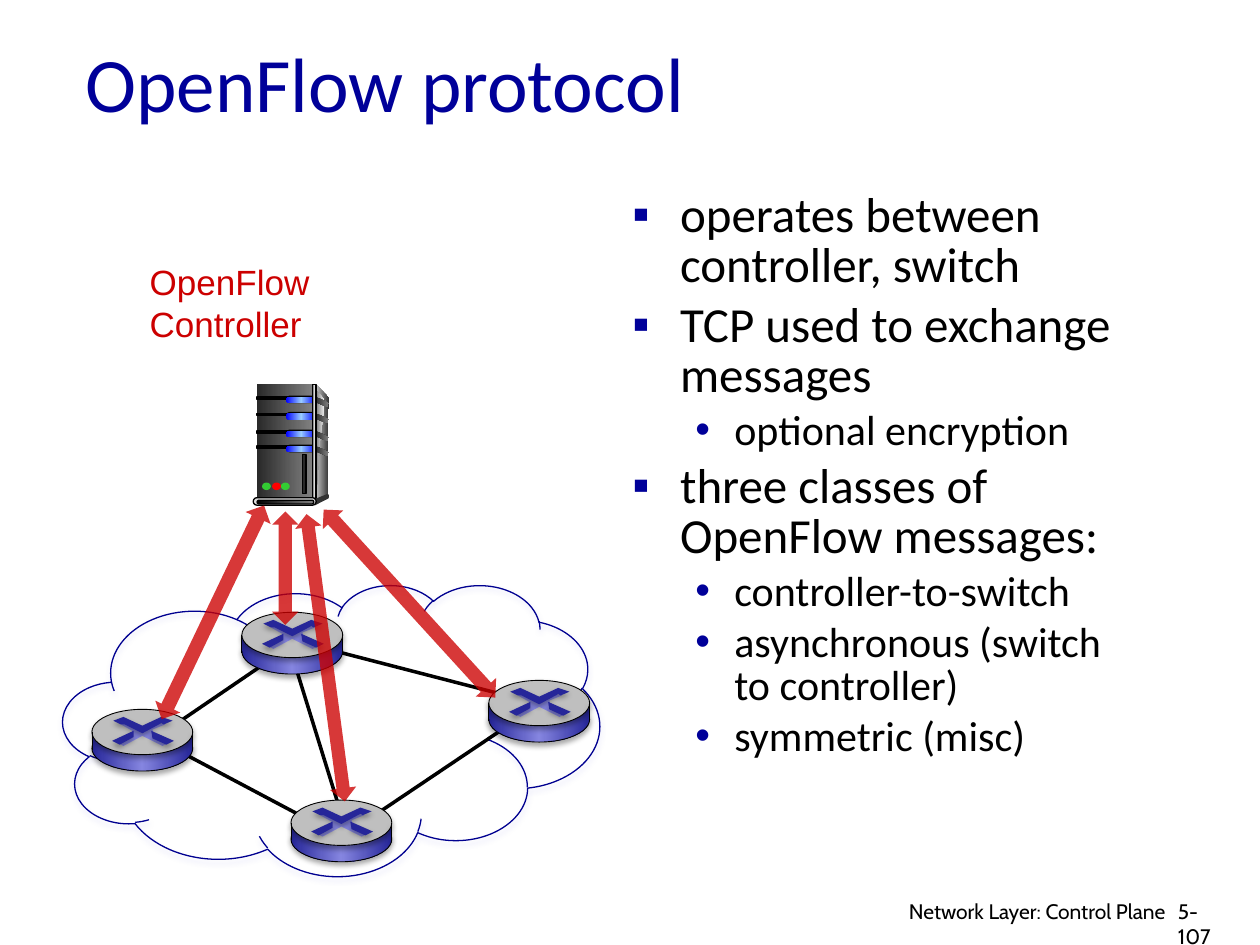
from lxml import etree
from pptx import Presentation
from pptx.dml.color import RGBColor
from pptx.enum import shapes, text
from pptx.oxml import ns
from pptx.util import Inches, Pt

NAVY = RGBColor(0x00, 0x00, 0x99)
CLOUD_LINE = RGBColor(0x00, 0x00, 0x90)
CLOUD_SHADE = RGBColor(0xA5, 0xA5, 0xE9)
RED = RGBColor(0xCC, 0x00, 0x00)
BLACK = RGBColor(0x00, 0x00, 0x00)
CHARCOAL = RGBColor(0x29, 0x29, 0x29)
DARK = RGBColor(0x33, 0x33, 0x33)
GREY = RGBColor(0x80, 0x80, 0x80)
SILVER = RGBColor(0xBF, 0xBF, 0xBF)
PALE = RGBColor(0xDD, 0xDD, 0xDD)
WHITISH = RGBColor(0xF8, 0xF8, 0xF8)
BLUE = RGBColor(0x00, 0x00, 0xFF)
SKY = RGBColor(0x99, 0xCC, 0xFF)
INDIGO = RGBColor(0x26, 0x26, 0x99)
LILAC = RGBColor(0x85, 0x85, 0xE0)
LED_GREEN = RGBColor(0x33, 0xCC, 0x33)
LED_RED = RGBColor(0xFF, 0x00, 0x00)

KIND = shapes.MSO_SHAPE
RECT, OVAL, PILL = KIND.RECTANGLE, KIND.OVAL, KIND.ROUNDED_RECTANGLE

prs = Presentation()
prs.slide_width, prs.slide_height = Inches(10), Inches(7.5)
slide = prs.slides.add_slide(prs.slide_layouts[6])


def draw(kind, points, fill=None, line=None, width=0.75, shadow=None):
    if kind == "line":
        shape = slide.shapes.add_connector(
            shapes.MSO_CONNECTOR.STRAIGHT, *[Inches(v) for v in points])
    elif kind == "outline":
        corners = [(Inches(x), Inches(y)) for x, y in points]
        builder = slide.shapes.build_freeform(*corners[0], scale=1.0)
        builder.add_line_segments(corners[1:], close=True)
        shape = builder.convert_to_shape()
    else:
        shape = slide.shapes.add_shape(kind, *[Inches(v) for v in points])
        if kind == PILL:
            shape.adjustments[0] = 0.5
    props = shape._element.spPr
    if isinstance(fill, list):
        shape.fill.gradient()
        shape.fill.gradient_angle = 0
        stops = props.find(".//" + ns.qn("a:gsLst"))
        for stop in list(stops):
            stops.remove(stop)
        for i, color in enumerate(fill):
            stop = etree.SubElement(stops, ns.qn("a:gs"), pos=str(100000 * i // (len(fill) - 1)))
            etree.SubElement(stop, ns.qn("a:srgbClr"), val=str(color))
    elif fill is not None:
        shape.fill.solid()
        shape.fill.fore_color.rgb = fill
    elif kind != "line":
        shape.fill.background()
    if line is None:
        shape.line.fill.background()
    else:
        shape.line.color.rgb = line
        shape.line.width = Pt(width)
    effects = etree.SubElement(props, ns.qn("a:effectLst"))
    if shadow is not None:
        cast = etree.SubElement(effects, ns.qn("a:outerShdw"), blurRad=str(Pt(3.1)),
                                dist=str(Pt(1.8)), dir="5400000", rotWithShape="0")
        tint = etree.SubElement(cast, ns.qn("a:srgbClr"), val=str(shadow))
        etree.SubElement(tint, ns.qn("a:alpha"), val="35000")
    return shape


def write(box, lines, size, font, color):
    frame = slide.shapes.add_textbox(*[Inches(v) for v in box]).text_frame
    frame.word_wrap = True
    for i, (level, words) in enumerate(lines):
        par = frame.paragraphs[0] if i == 0 else frame.add_paragraph()
        par.text = words
        points = size
        if level is not None:
            points = size - 4 * level
            props = par._p.get_or_add_pPr()
            props.set("marL", str(Inches([0.38, 0.81][level])))
            props.set("indent", str(Inches([-0.38, -0.31][level])))
            tint = etree.SubElement(props, ns.qn("a:buClr"))
            etree.SubElement(tint, ns.qn("a:srgbClr"), val=str(NAVY))
            etree.SubElement(props, ns.qn("a:buFont"), typeface="Arial")
            etree.SubElement(props, ns.qn("a:buChar"), char="▪•"[level])
            par.line_spacing = 0.85
            if i:
                par.space_before = Pt(0.2 * points)
        par.font.size = Pt(points)
        par.font.name = font
        par.font.color.rgb = color
    return frame


title = write((0.58, 0.02, 8.5, 1.25), [(None, "OpenFlow protocol")], 44, "Calibri", NAVY)
title.vertical_anchor = text.MSO_ANCHOR.MIDDLE

write((4.92, 1.48, 4.17, 5.08), [
    (0, "operates between controller, switch"),
    (0, "TCP used to exchange messages"),
    (1, "optional encryption"),
    (0, "three classes of OpenFlow messages:"),
    (1, "controller-to-switch"),
    (1, "asynchronous (switch to controller)"),
    (1, "symmetric (misc)"),
], 28, "Calibri", BLACK)

draw(KIND.CLOUD, (0.5, 4.64, 4.26, 2.31), line=CLOUD_LINE, shadow=CLOUD_SHADE)
for link in [(1.23, 5.86, 2.55, 4.96), (1.23, 5.86, 2.55, 6.56), (2.33, 5.24, 2.68, 6.37),
             (2.63, 5.16, 4.06, 5.53), (2.84, 6.56, 4.06, 5.74)]:
    draw("line", link, line=BLACK, width=2)

draw("outline", [(2.51, 3.05), (2.61, 3.16), (2.6, 3.93), (2.49, 3.97)], [PALE, DARK])
draw(RECT, (2.04, 3.05, 0.44, 0.92), [CHARCOAL, GREY])
draw("outline", [(2.51, 3.1), (2.54, 3.13), (2.58, 3.18), (2.54, 3.5), (2.51, 3.94)],
     [GREY, WHITISH])
for bay in (3.15, 3.28, 3.42, 3.54):
    draw(RECT, (2.04, bay, 0.25, 0.02), BLACK, BLACK)
    draw(PILL, (2.27, bay - 0.01, 0.24, 0.06), BLACK)
    draw(PILL, (2.27, bay, 0.24, 0.05), [BLUE, SKY, BLUE])
    draw("outline", [(2.5, bay), (2.55, bay + 0.02), (2.61, bay + 0.05), (2.6, bay + 0.08),
                     (2.5, bay + 0.04)], [CHARCOAL, GREY])
draw(RECT, (2.48, 3.05, 0.03, 0.92), [DARK, PALE, DARK], BLACK)
draw(OVAL, (2.59, 3.92, 0.02, 0.04), DARK)
draw("outline", [(2.5, 3.96), (2.5, 4.01), (2.6, 3.96), (2.6, 3.92)], DARK)
draw(PILL, (2.01, 3.95, 0.5, 0.06), PALE, BLACK)
draw(PILL, (2.04, 3.97, 0.45, 0.03), [BLACK, GREY], BLACK)
for left, led in [(2.08, LED_GREEN), (2.16, LED_RED), (2.23, LED_GREEN)]:
    draw(OVAL, (left, 3.83, 0.07, 0.06), led)
draw(RECT, (2.4, 3.61, 0.03, 0.31), CHARCOAL, BLACK)

write((1.09, 2.02, 2.4, 0.75), [(None, "OpenFlow Controller")], 20, "Arial", RED)

cross = [(0.4, 0.21), (0.25, 0.29), (0.21, 0.27), (0.33, 0.22), (0.32, 0.17), (0.23, 0.12),
         (0.26, 0.11), (0.4, 0.17), (0.54, 0.11), (0.58, 0.12), (0.48, 0.16), (0.5, 0.23),
         (0.6, 0.27), (0.56, 0.29)]
chevron = [(0.17, 0.09), (0.25, 0.06), (0.4, 0.13), (0.55, 0.06), (0.64, 0.09), (0.57, 0.12),
           (0.55, 0.11), (0.4, 0.19), (0.26, 0.12), (0.23, 0.12)]
right_leg = [(0.47, 0.17), (0.65, 0.25), (0.59, 0.28), (0.48, 0.23)]
left_leg = [(0.33, 0.17), (0.33, 0.22), (0.22, 0.28), (0.16, 0.25)]
for x, y in [(2.31, 6.35), (3.88, 5.4), (0.73, 5.63), (1.92, 4.86)]:
    draw(OVAL, (x, y + 0.13, 0.8, 0.36), [INDIGO, LILAC, INDIGO], BLACK, 0.5, BLACK)
    draw(RECT, (x, y + 0.18, 0.8, 0.13), [INDIGO, LILAC, INDIGO])
    draw(OVAL, (x, y, 0.8, 0.36), SILVER, BLACK, 0.5, BLACK)
    for part, color, shade in [(cross, LILAC, None), (chevron, INDIGO, BLACK),
                               (right_leg, INDIGO, BLACK), (left_leg, INDIGO, BLACK)]:
        draw("outline", [(x + dx, y + dy) for dx, dy in part], color, shadow=shade)
    for side in (x, x + 0.8):
        draw("line", (side, y + 0.32, side, y + 0.18), line=BLACK, width=0.5, shadow=BLACK)

for box, angle in [((2.48, 4.07, 0.21, 2.3), 352.4), ((2.16, 4.06, 0.21, 0.9), 0),
                   ((3.14, 3.78, 0.22, 2.02), 317.6), ((1.58, 3.92, 0.22, 1.88), 25.6)]:
    channel = draw(KIND.UP_DOWN_ARROW, box, RED)
    channel.rotation = angle
    tint = channel._element.spPr.find(ns.qn("a:solidFill"))[0]
    etree.SubElement(tint, ns.qn("a:alpha"), val="78000")

write((9.25, 7.08, 0.6, 0.3), [(None, "5-107")], 12, "Cabin", BLACK)
footer = write((6.97, 7.08, 2.38, 0.26), [(None, "Network Layer: Control Plane")],
               12, "Cabin", BLACK)
footer.paragraphs[0].alignment = text.PP_ALIGN.RIGHT

prs.save("out.pptx")
